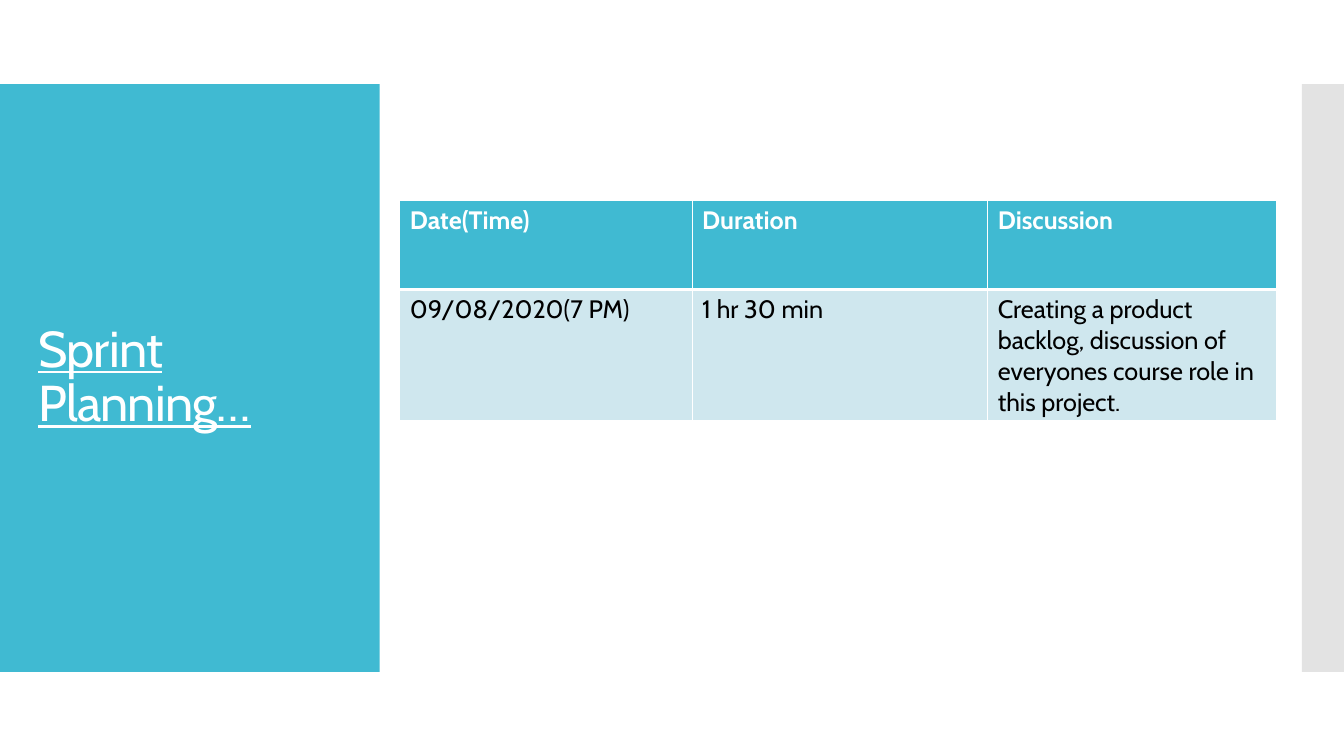
"""Build the sprint planning slide with a title panel and a meeting table."""
from dataclasses import dataclass

from lxml import etree
from pptx import Presentation
from pptx.dml.color import RGBColor
from pptx.enum.shapes import MSO_SHAPE
from pptx.enum.text import MSO_ANCHOR
from pptx.oxml.ns import qn
from pptx.util import Inches, Pt

RECT = MSO_SHAPE.RECTANGLE
MIDDLE = MSO_ANCHOR.MIDDLE
UNIT = Inches(1) / 12
COLUMNS, ROWS = 160, 90


@dataclass(frozen=True)
class Theme:
    font: str = "Cabin"
    accent: str = "40BAD2"
    band: str = "CFE7EE"
    edge: str = "C8C8C8"
    light: str = "FFFFFF"
    dark: str = "000000"
    title_size: int = 36
    table_size: int = 18


@dataclass(frozen=True)
class Box:
    col: float
    row: float
    cols: float
    rows: float

    def emu(self) -> list[int]:
        return [grid(n) for n in (self.col, self.row, self.cols, self.rows)]


@dataclass(frozen=True)
class Panel:
    box: Box
    color: str
    opacity: int = 100


@dataclass(frozen=True)
class TableRow:
    texts: tuple[str, ...]
    height: float
    fill: str
    color: str
    bold: bool
    bottom: int


THEME = Theme()
PANELS = (
    Panel(Box(0, 10, 45.2, 70), THEME.accent),
    Panel(Box(155, 10, 5, 70), THEME.edge, 50),
)
TITLE_BOX = Box(3.4, 14.8, 38.6, 60.4)
TABLE_COLS = (34.8, 35.2, 34.4)
TABLE_ROWS = (
    TableRow(("Date(Time)", "Duration", "Discussion"),
             10.65, THEME.accent, THEME.light, True, 3),
    TableRow(("09/08/2020(7 PM)", "1 hr 30 min",
              "Creating a product backlog, discussion of everyones "
              "course role in this project."),
             15.6, THEME.band, THEME.dark, False, 1),
)
TABLE_BOX = Box(47.6, 23.8, sum(TABLE_COLS), sum(r.height for r in TABLE_ROWS))


def grid(n: float) -> int:
    return round(n * UNIT)


def style(p, size: int, color: str, bold: bool = False) -> None:
    p.font.name = THEME.font
    p.font.size = Pt(size)
    p.font.bold = bold
    p.font.color.rgb = RGBColor.from_string(color)


def add_panel(s, panel: Panel) -> None:
    sp = s.shapes.add_shape(RECT, *panel.box.emu())
    sp.shadow.inherit = False
    sp.line.fill.background()
    sp.fill.solid()
    sp.fill.fore_color.rgb = RGBColor.from_string(panel.color)
    if panel.opacity < 100:
        color = sp.element.spPr.find(f"{qn('a:solidFill')}/{qn('a:srgbClr')}")
        etree.SubElement(color, qn("a:alpha"), val=str(panel.opacity * 1000))


def add_title(s, text: str) -> None:
    tf = s.shapes.add_textbox(*TITLE_BOX.emu()).text_frame
    tf.word_wrap = True
    tf.vertical_anchor = MIDDLE
    p = tf.paragraphs[0]
    p.line_spacing = 0.9
    style(p, THEME.title_size, THEME.light)
    p.font.underline = True
    r = p.add_run()
    r.text = text
    r.font._element.set("spc", "-60")


def add_border(cell, side: str, width: int) -> None:
    ln = etree.SubElement(cell._tc.get_or_add_tcPr(), qn(f"a:ln{side}"),
                          w=str(Pt(width)))
    fill = etree.SubElement(ln, qn("a:solidFill"))
    etree.SubElement(fill, qn("a:srgbClr"), val=THEME.light)


def add_meetings(s) -> None:
    table = s.shapes.add_table(len(TABLE_ROWS), len(TABLE_COLS),
                               *TABLE_BOX.emu()).table
    for column, width in zip(table.columns, TABLE_COLS):
        column.width = grid(width)
    top = 1
    for row, data in zip(table.rows, TABLE_ROWS):
        row.height = grid(data.height)
        for cell, text in zip(row.cells, data.texts):
            for side, width in zip("LRTB", (1, 1, top, data.bottom)):
                add_border(cell, side, width)
            cell.fill.solid()
            cell.fill.fore_color.rgb = RGBColor.from_string(data.fill)
            cell.text = text
            style(cell.text_frame.paragraphs[0], THEME.table_size,
                  data.color, data.bold)
        top = data.bottom


def main() -> None:
    prs = Presentation()
    prs.slide_width, prs.slide_height = grid(COLUMNS), grid(ROWS)
    s = prs.slides.add_slide(prs.slide_layouts[6])
    for panel in PANELS:
        add_panel(s, panel)
    add_title(s, "Sprint Planning…")
    add_meetings(s)
    prs.save("out.pptx")


if __name__ == "__main__":
    main()
